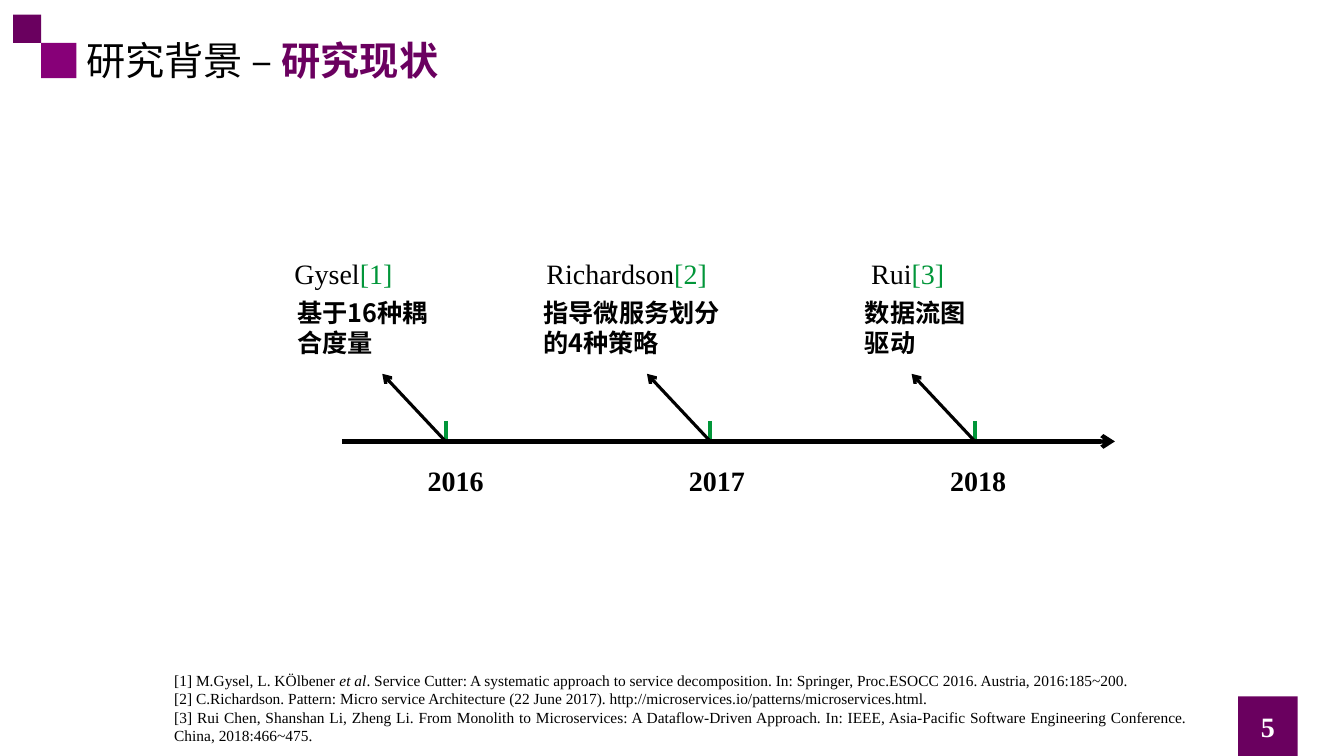
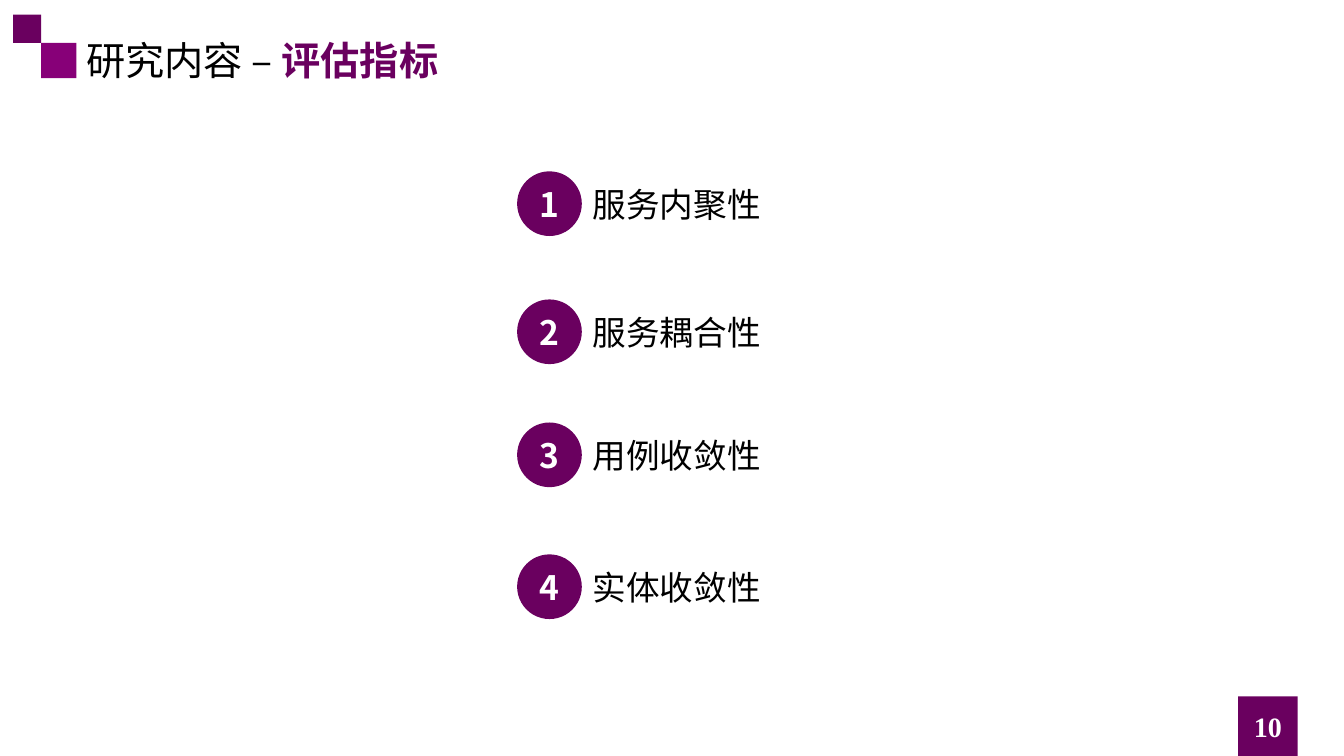
from dataclasses import dataclass, replace

from lxml.etree import SubElement
from pptx import Presentation
from pptx.dml.color import RGBColor
from pptx.enum.shapes import MSO_CONNECTOR, MSO_SHAPE
from pptx.enum.text import MSO_ANCHOR, MSO_AUTO_SIZE, PP_ALIGN
from pptx.oxml.ns import qn
from pptx.util import Inches, Pt


@dataclass(frozen=True)
class TextStyle:
    size: float
    font: str
    color: str
    bold: bool = False
    italic: bool = False


@dataclass(frozen=True)
class Theme:
    purple: str = "6A005F"
    bright_purple: str = "870078"
    green: str = "019639"
    black: str = "000000"
    white: str = "FFFFFF"
    serif: str = "Times New Roman"
    sans: str = "Noto Sans CJK SC"
    title_size: float = 28
    item_size: float = 24
    label_size: float = 20
    finding_size: float = 18
    reference_size: float = 11
    axis_width: float = 3
    leader_width: float = 2.25


THEME = Theme()
TITLE = TextStyle(THEME.title_size, THEME.sans, THEME.black)
TOPIC = replace(TITLE, color=THEME.purple, bold=True)
ITEM = TextStyle(THEME.item_size, THEME.serif, THEME.black)
BADGE = TextStyle(THEME.item_size, THEME.sans, THEME.white, bold=True)
AUTHOR = TextStyle(THEME.label_size, THEME.serif, THEME.black)
CITATION = replace(AUTHOR, color=THEME.green)
YEAR = replace(AUTHOR, bold=True)
PAGE = replace(YEAR, color=THEME.white)
FINDING = TextStyle(THEME.finding_size, THEME.sans, THEME.black, bold=True)
REFERENCE = TextStyle(THEME.reference_size, THEME.serif, THEME.black)
REFERENCE_ITALIC = replace(REFERENCE, italic=True)

GRID_ROWS = 18
TITLE_ONLY_LAYOUT = 5


class Deck:
    def __init__(self):
        self.presentation = Presentation()
        self.presentation.slide_width = Inches(13.33)
        self.presentation.slide_height = Inches(7.5)
        self.cell = self.presentation.slide_height / GRID_ROWS
        self.slide = None

    def grid(self, *lengths):
        return [round(length * self.cell) for length in lengths]

    def new_slide(self, section, topic, page):
        layout = self.presentation.slide_layouts[TITLE_ONLY_LAYOUT]
        self.slide = self.presentation.slides.add_slide(layout)
        self.block(MSO_SHAPE.RECTANGLE, (0.98, 1.02, 0.84, 0.84), THEME.bright_purple)
        self.block(MSO_SHAPE.RECTANGLE, (0.31, 0.35, 0.67, 0.67), THEME.purple)
        self.block(MSO_SHAPE.RECTANGLE, (29.47, 16.58, 1.42, 1.42), THEME.purple, page, PAGE)
        title = self.slide.shapes.title
        title.left, title.top, title.width, title.height = self.grid(1.82, 0.74, 22.97, 1.37)
        self.fill_frame(title.text_frame, [[(f"{section} – ", TITLE), (topic, TOPIC)]])

    def fill_frame(self, frame, paragraphs, align=PP_ALIGN.LEFT, anchor=MSO_ANCHOR.TOP,
                   wrap=True):
        frame.word_wrap = wrap
        frame.auto_size = MSO_AUTO_SIZE.NONE
        frame.vertical_anchor = anchor
        for index, runs in enumerate(paragraphs):
            paragraph = frame.add_paragraph() if index else frame.paragraphs[0]
            paragraph.alignment = align
            for text, style in runs:
                self.add_run(paragraph, text, style)

    def add_run(self, paragraph, text, style):
        run = paragraph.add_run()
        run.text = text
        font = run.font
        font.size = Pt(style.size)
        font.bold = style.bold
        font.italic = style.italic
        font.color.rgb = RGBColor.from_string(style.color)
        font.name = style.font
        properties = run._r.get_or_add_rPr()
        SubElement(properties, qn("a:ea")).set("typeface", THEME.sans)

    def block(self, kind, box, fill, text=None, style=None, parent=None):
        shape = (parent or self.slide).shapes.add_shape(kind, *self.grid(*box))
        shape.shadow.inherit = False
        shape.fill.solid()
        shape.fill.fore_color.rgb = RGBColor.from_string(fill)
        shape.line.fill.background()
        if text:
            frame = shape.text_frame
            frame.margin_left = frame.margin_right = 0
            frame.margin_top = frame.margin_bottom = 0
            self.fill_frame(frame, [[(text, style)]], PP_ALIGN.CENTER, MSO_ANCHOR.MIDDLE)

    def text(self, box, paragraphs, align=PP_ALIGN.LEFT, wrap=True, parent=None):
        shape = (parent or self.slide).shapes.add_textbox(*self.grid(*box))
        self.fill_frame(shape.text_frame, paragraphs, align, wrap=wrap)

    def line(self, start, end, color, width, arrow=False):
        connector = self.slide.shapes.add_connector(
            MSO_CONNECTOR.STRAIGHT, *self.grid(*start, *end))
        connector.line.color.rgb = RGBColor.from_string(color)
        connector.line.width = Pt(width)
        if arrow:
            SubElement(connector.get_or_add_ln(), qn("a:tailEnd")).set("type", "arrow")
        SubElement(connector.element.spPr, qn("a:effectLst"))

    def milestone(self, index, author, author_box, finding, finding_box):
        tick = 10.61 + 6.3 * index
        self.line((tick, 10.02), (tick, 10.45), THEME.green, THEME.axis_width)
        self.line((tick - 0.02, 10.49), (tick - 1.51, 8.9), THEME.black,
                  THEME.leader_width, arrow=True)
        self.text((9.94 + 6.22 * index, 10.92, 2.86, 1.06), [[(str(2016 + index), YEAR)]])
        left, width = author_box
        self.text((left, 5.98, width, 1.06),
                  [[(author, AUTHOR), (f"[{index + 1}]", CITATION)]], wrap=False)
        left, width = finding_box
        self.text((left, 6.96, width, 1.7), [[(line, FINDING)] for line in finding])

    def numbered_item(self, number, label, top):
        group = self.slide.shapes.add_group_shape()
        self.block(MSO_SHAPE.OVAL, (12.31, top, 1.54, 1.54), THEME.purple,
                   str(number), BADGE, parent=group)
        self.text((13.87, top + 0.17, 10.2, 1.2), [[(label, ITEM)]], parent=group)


def build_research_status(deck):
    deck.new_slide("研究背景", "研究现状", "5")
    deck.line((8.14, 10.51), (26.54, 10.51), THEME.black, THEME.axis_width, arrow=True)
    milestones = [
        ("Gysel", (6.77, 2.83), ["基于16种耦合度量"], (6.84, 3.58)),
        ("Richardson", (12.77, 4.32), ["指导微服务划分的4种策略"], (12.7, 5.21)),
        ("Rui", (20.5, 2.23), ["数据流图", "驱动"], (20.35, 3.12)),
    ]
    for index, milestone in enumerate(milestones):
        deck.milestone(index, *milestone)
    references = [
        [("[1] M.Gysel, L. KÖlbener ", REFERENCE), ("et al", REFERENCE_ITALIC),
         (". Service Cutter: A systematic approach to service decomposition. "
          "In: Springer, Proc.ESOCC 2016. Austria, 2016:185~200.", REFERENCE)],
        [("[2] C.Richardson. Pattern: Micro service Architecture (22 June 2017). "
          "http://microservices.io/patterns/microservices.html.", REFERENCE)],
        [("[3] Rui Chen, Shanshan Li, Zheng Li. From Monolith to Microservices: "
          "A Dataflow-Driven Approach. In: IEEE, Asia-Pacific Software Engineering "
          "Conference. China, 2018:466~475.", REFERENCE)],
    ]
    deck.text((3.91, 15.86, 24.6, 2.02), references, PP_ALIGN.JUSTIFY)


def build_metrics(deck):
    deck.new_slide("研究内容", "评估指标", "10")
    metrics = [("服务内聚性", 4.08), ("服务耦合性", 7.13),
               ("用例收敛性", 10.06), ("实体收敛性", 13.2)]
    for number, (label, top) in enumerate(metrics, start=1):
        deck.numbered_item(number, label, top)


def main():
    deck = Deck()
    build_research_status(deck)
    build_metrics(deck)
    deck.presentation.save("out.pptx")


if __name__ == "__main__":
    main()
